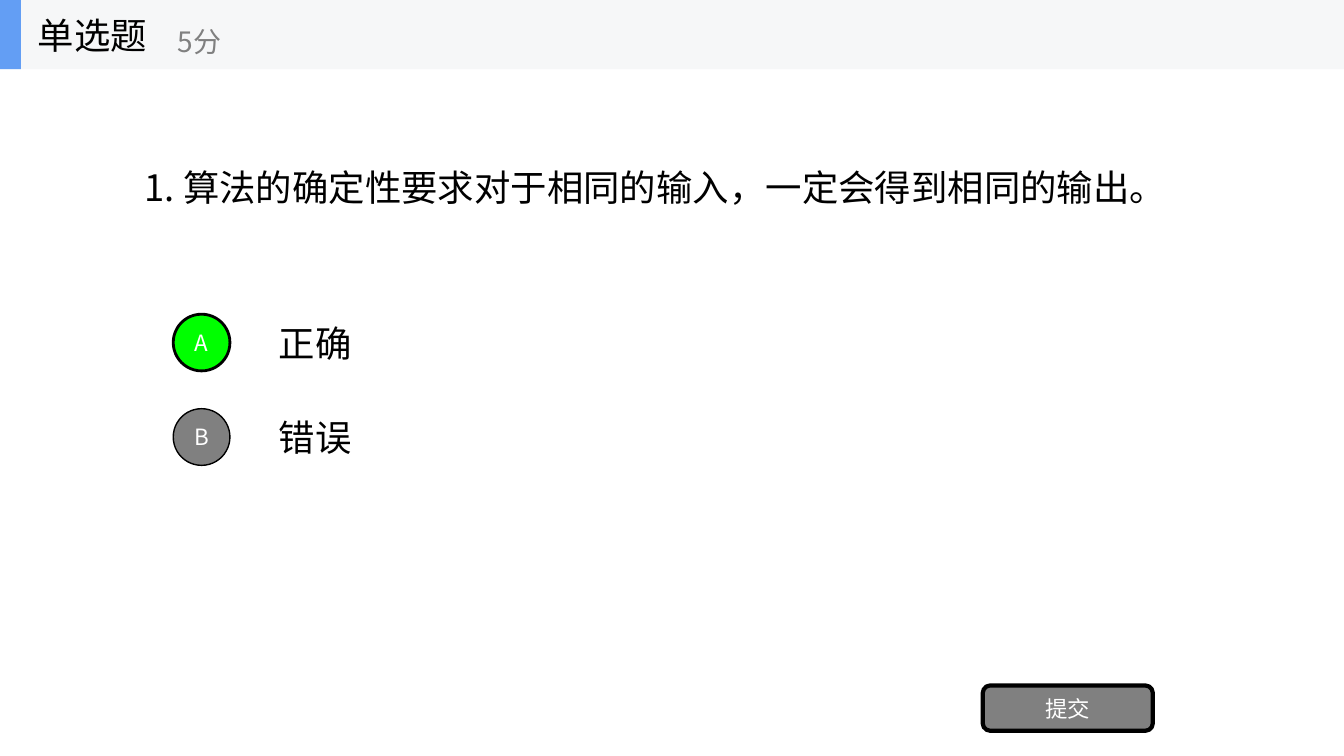
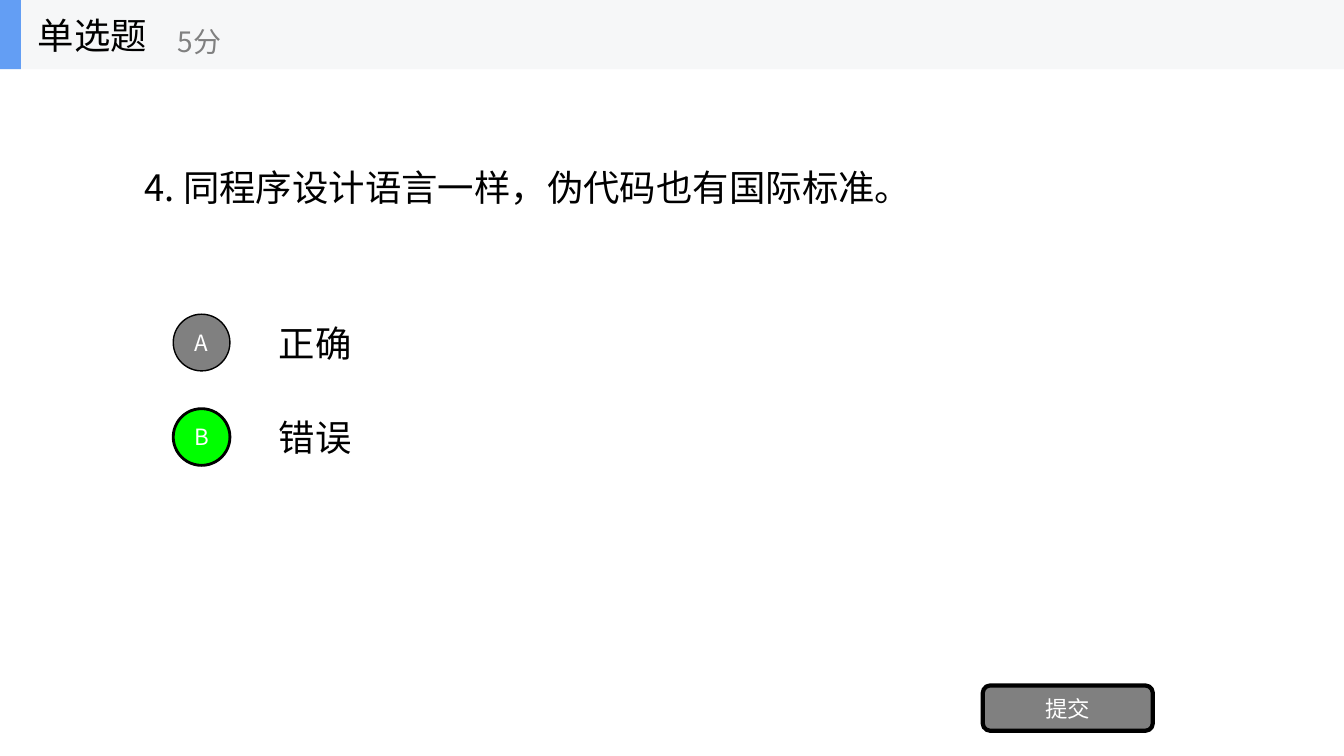
from dataclasses import dataclass

from pptx import Presentation
from pptx.dml.color import RGBColor
from pptx.enum.shapes import MSO_SHAPE as Preset
from pptx.enum.text import MSO_ANCHOR as Anchor, PP_ALIGN as Align
from pptx.oxml.ns import qn
from pptx.util import Inches, Pt

COLUMNS, ROWS = 160, 90
CELL = Inches(1) / 12


@dataclass(frozen=True)
class Theme:
    font: str = "Noto Sans CJK SC"
    ink: str = "000000"
    paper: str = "FFFFFF"
    muted: str = "808080"
    correct: str = "00FF00"
    band: str = "F6F7F8"
    accent: str = "639EF4"
    text_size: int = 26
    score_size: int = 20
    label_size: int = 16


@dataclass(frozen=True)
class Box:
    """A rectangle in grid columns and rows."""
    left: float
    top: float
    width: float
    height: float

    def inner(self, left, top, width, height):
        """Return a box placed relative to this one."""
        return Box(self.left + left, self.top + top, width, height)

    def emu(self):
        return [round(side * CELL)
                for side in (self.left, self.top, self.width, self.height)]


THEME = Theme()
PAGE = Box(0, 0, COLUMNS, ROWS)
HEADER = PAGE.inner(0, 0, COLUMNS, 8.25)
QUESTION = PAGE.inner(16, 8.25, 128, 28.13)
OPTIONS = PAGE.inner(20.62, 36.56, 123.38, 22.5)
BUTTON = PAGE.inner(117, 81.6, 20.25, 5.4)

HEADING, SCORE, SUBMIT = "单选题", "5分", "提交"
CHOICES = {"A": "正确", "B": "错误"}
QUIZ = [
    ("1. 算法的确定性要求对于相同的输入，一定会得到相同的输出。", "A"),
    ("4. 同程序设计语言一样，伪代码也有国际标准。", "B"),
]


def write(shape, text, size, color, align=Align.LEFT):
    frame = shape.text_frame
    frame.text = text
    frame.word_wrap = True
    frame.vertical_anchor = Anchor.MIDDLE
    para = frame.paragraphs[0]
    para.alignment = align
    span = para.runs[0]
    span.font.size = Pt(size)
    span.font.color.rgb = RGBColor.from_string(color)
    span.font.name = THEME.font
    latin = span.font._element.find(qn("a:latin"))
    latin.addnext(latin.makeelement(qn("a:ea"), {"typeface": THEME.font}))


def add_label(page, box, text, size=THEME.text_size, color=THEME.ink):
    write(page.shapes.add_textbox(*box.emu()), text, size, color)


def add_panel(page, box, preset, fill, line_width=0):
    panel = page.shapes.add_shape(preset, *box.emu())
    panel.shadow.inherit = False
    panel.fill.solid()
    panel.fill.fore_color.rgb = RGBColor.from_string(fill)
    if line_width:
        panel.line.color.rgb = RGBColor.from_string(THEME.ink)
        panel.line.width = Pt(line_width)
    else:
        panel.line.fill.background()
    return panel


def add_control(page, box, preset, text, fill, line_width):
    """Add an outlined shape with a centred white label."""
    control = add_panel(page, box, preset, fill, line_width)
    write(control, text, THEME.label_size, THEME.paper, Align.CENTER)


def add_header(page, box):
    add_panel(page, box, Preset.RECTANGLE, THEME.band)
    add_panel(page, box.inner(0, 0, 2.5, box.height),
              Preset.RECTANGLE, THEME.accent)
    add_label(page, box.inner(3.33, 0, 25, box.height), HEADING)
    add_label(page, box.inner(20, 1.5, 30, 6.75), SCORE,
              THEME.score_size, THEME.muted)


def add_question(page, box, question):
    title = page.shapes.title
    title.left, title.top, title.width, title.height = box.emu()
    write(title, question, THEME.text_size, THEME.ink)


def add_options(page, box, answer):
    pitch = box.height / len(CHOICES)
    row_height, disc, indent = pitch * 0.75, pitch * 0.6, 11.38
    for index, (letter, choice) in enumerate(CHOICES.items()):
        row = box.inner(0, index * pitch, box.width, row_height)
        add_label(page, row.inner(indent, 0, row.width - indent, row_height),
                  choice)
        fill, line_width = ((THEME.correct, 2) if letter == answer
                            else (THEME.muted, 1))
        add_control(page, row.inner(0, (row_height - disc) / 2, disc, disc),
                    Preset.OVAL, letter, fill, line_width)


def add_quiz_page(deck, question, answer):
    title_only = deck.slide_layouts.get_by_name("Title Only")
    page = deck.slides.add_slide(title_only)
    add_question(page, QUESTION, question)
    add_options(page, OPTIONS, answer)
    add_control(page, BUTTON, Preset.ROUNDED_RECTANGLE, SUBMIT,
                THEME.muted, 3)
    add_header(page, HEADER)


def main():
    deck = Presentation()
    deck.slide_width = round(COLUMNS * CELL)
    deck.slide_height = round(ROWS * CELL)
    for question, answer in QUIZ:
        add_quiz_page(deck, question, answer)
    deck.save("out.pptx")


if __name__ == "__main__":
    main()
